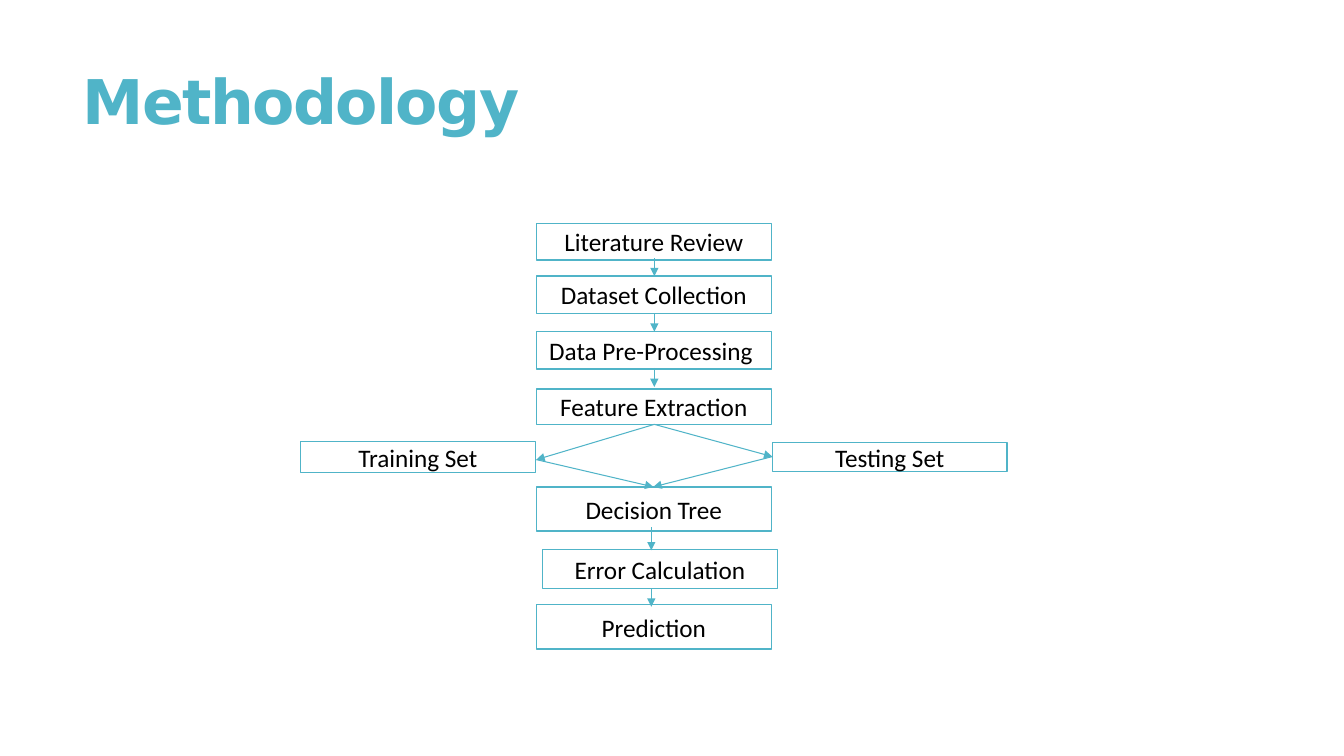
"""Build the Methodology flowchart slide."""
from dataclasses import dataclass

from lxml import etree
from pptx import Presentation
from pptx.dml.color import RGBColor
from pptx.enum.shapes import MSO_CONNECTOR, MSO_SHAPE
from pptx.enum.text import MSO_ANCHOR, MSO_AUTO_SIZE, PP_ALIGN
from pptx.oxml.ns import qn
from pptx.util import Pt

RECT = MSO_SHAPE.RECTANGLE
STRAIGHT = MSO_CONNECTOR.STRAIGHT
TOP, MIDDLE = MSO_ANCHOR.TOP, MSO_ANCHOR.MIDDLE
LEFT, CENTER = PP_ALIGN.LEFT, PP_ALIGN.CENTER
NO_FIT = MSO_AUTO_SIZE.NONE
TITLE_ONLY = 5
EMU_PER_PX = 9144


@dataclass(frozen=True)
class Theme:
    accent: RGBColor = RGBColor(0x50, 0xB4, 0xC8)
    paper: RGBColor = RGBColor(0xFF, 0xFF, 0xFF)
    ink: RGBColor = RGBColor(0x00, 0x00, 0x00)
    title_font: str = "DejaVu Sans"
    body_font: str = "Calibri"
    title_size: int = 44
    body_size: int = 18
    box_line: float = 1
    arrow_line: float = 0.75


def px(n):
    return n * EMU_PER_PX


class FlowSlide:
    def __init__(self, prs, theme):
        self.theme = theme
        self.slide = prs.slides.add_slide(prs.slide_layouts[TITLE_ONLY])

    def run(self, p, text, font, size, color, bold=False):
        r = p.add_run()
        r.text = text
        r.font.name = font
        r.font.size = Pt(size)
        r.font.color.rgb = color
        r.font.bold = bold
        return r

    def title(self, text, x, y, w, h):
        t = self.theme
        sp = self.slide.shapes.title
        sp.left, sp.top, sp.width, sp.height = map(px, (x, y, w, h))
        tf = sp.text_frame
        tf.auto_size = NO_FIT
        tf.word_wrap = True
        tf.vertical_anchor = TOP
        tf.margin_top = px(19)
        p = tf.paragraphs[0]
        p.alignment = LEFT
        p.line_spacing = 0.85
        r = self.run(p, text, t.title_font, t.title_size, t.accent, True)
        r.font._element.set("spc", "-120")

    def box(self, text, x, y, w, h):
        t = self.theme
        sp = self.slide.shapes.add_shape(RECT, *map(px, (x, y, w, h)))
        sp.shadow.inherit = False
        sp.fill.solid()
        sp.fill.fore_color.rgb = t.paper
        sp.line.color.rgb = t.accent
        sp.line.width = Pt(t.box_line)
        tf = sp.text_frame
        tf.word_wrap = True
        tf.vertical_anchor = MIDDLE
        p = tf.paragraphs[0]
        p.alignment = CENTER
        self.run(p, text, t.body_font, t.body_size, t.ink)

    def arrow(self, x1, y1, x2, y2):
        t = self.theme
        cx = self.slide.shapes.add_connector(STRAIGHT, *map(px, (x1, y1, x2, y2)))
        cx.line.color.rgb = t.accent
        cx.line.width = Pt(t.arrow_line)
        ln = cx.line._get_or_add_ln()
        etree.SubElement(ln, qn("a:tailEnd"), type="triangle")
        etree.SubElement(cx._element.spPr, qn("a:effectLst"))


def main():
    prs = Presentation()
    prs.slide_width, prs.slide_height = px(1333), px(750)
    s = FlowSlide(prs, Theme())
    s.title("Methodology", 72, 55, 1178, 181)

    box_w, main_x = 233, 532
    steps = [
        ("Literature Review", main_x, 222, 36),
        ("Dataset Collection", main_x, 274, 37),
        ("Data Pre-Processing ", main_x, 329, 37),
        ("Feature Extraction", main_x, 386, 35),
        ("Training Set", main_x - box_w - 1, 438, 31),
        ("Testing Set", main_x + box_w + 1, 439, 29),
        ("Decision Tree", main_x, 483, 44),
        ("Error Calculation", main_x + 6, 545, 39),
        ("Prediction", main_x, 600, 44),
    ]
    for text, x, y, h in steps:
        s.box(text, x, y, box_w, h)

    upper_x, lower_x = 649, 646
    drops = [
        (upper_x, 256, 274),
        (upper_x, 311, 329),
        (upper_x, 365, 384),
        (lower_x, 523, 546),
        (lower_x, 584, 602),
    ]
    for x, y1, y2 in drops:
        s.arrow(x, y1, x, y2)

    for side_x, side_y in ((532, 456), (766, 453)):
        s.arrow(upper_x, 421, side_x, side_y)
        s.arrow(side_x, side_y, upper_x - 1, 483)

    prs.save("out.pptx")


if __name__ == "__main__":
    main()
